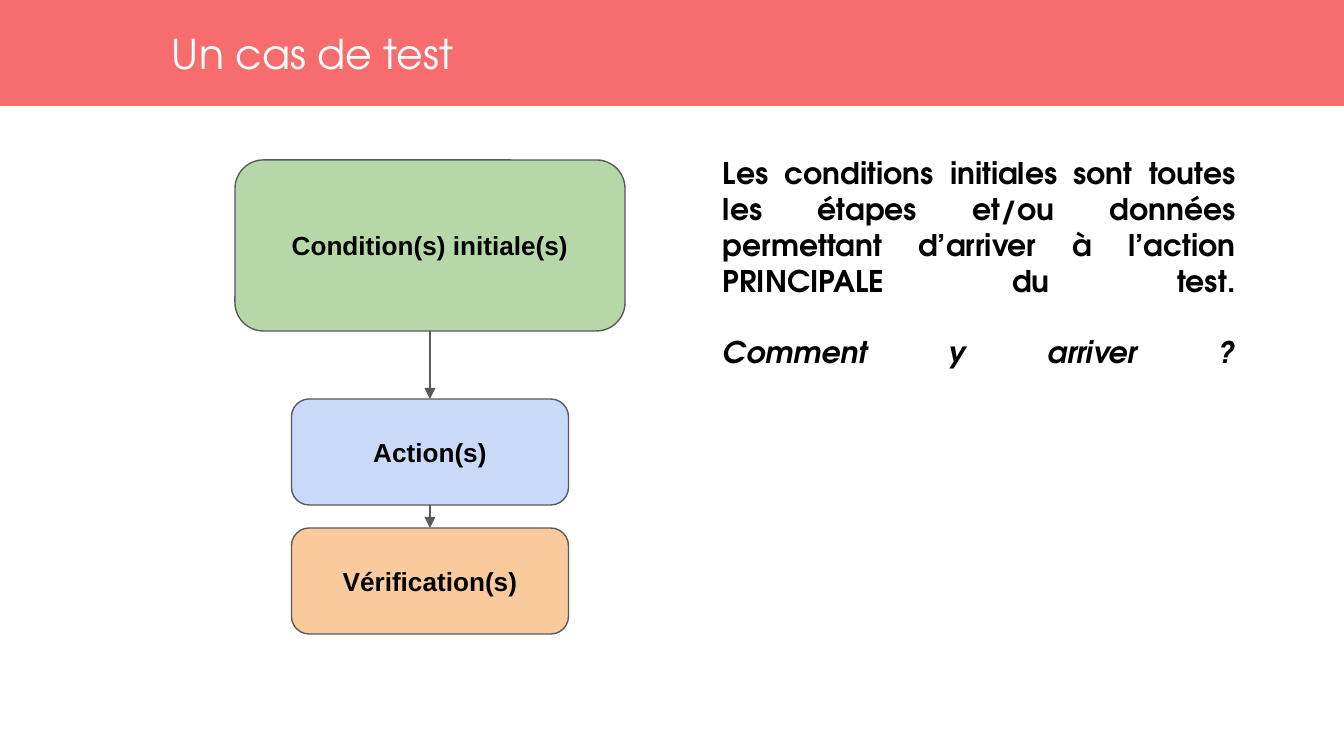
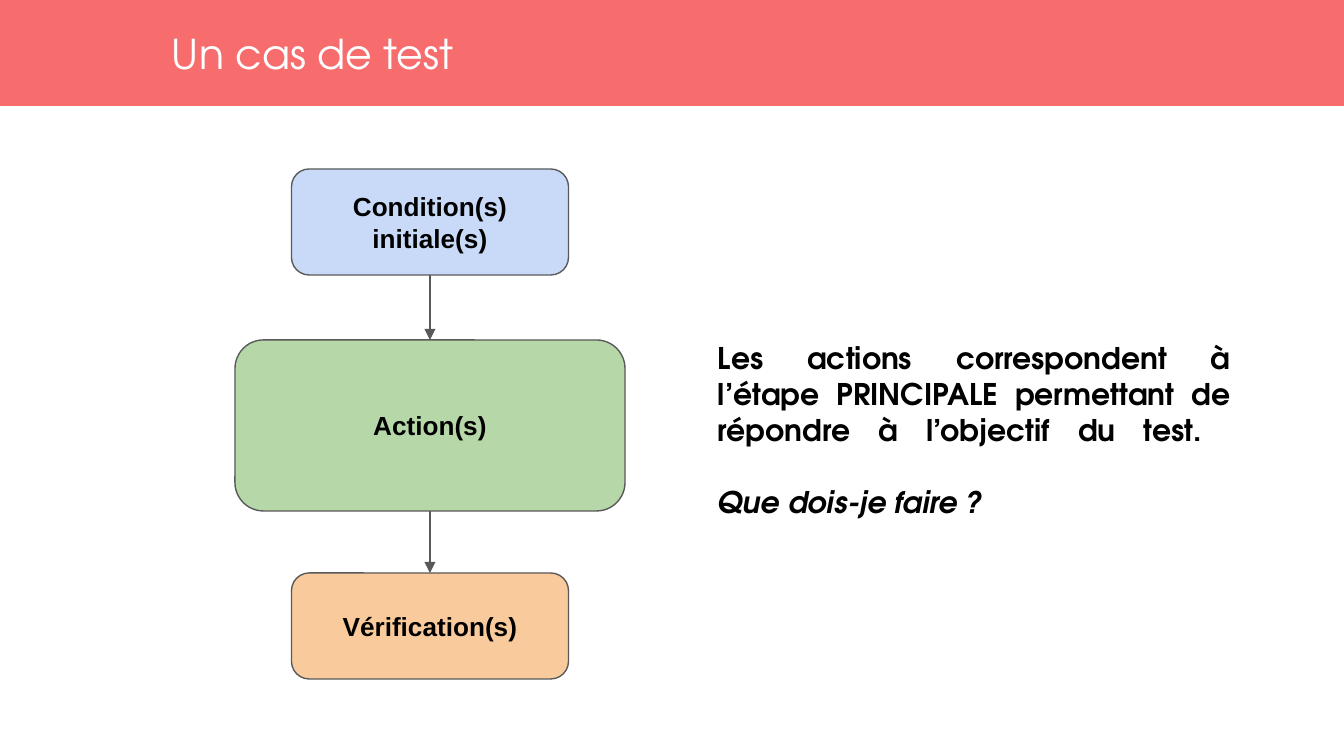
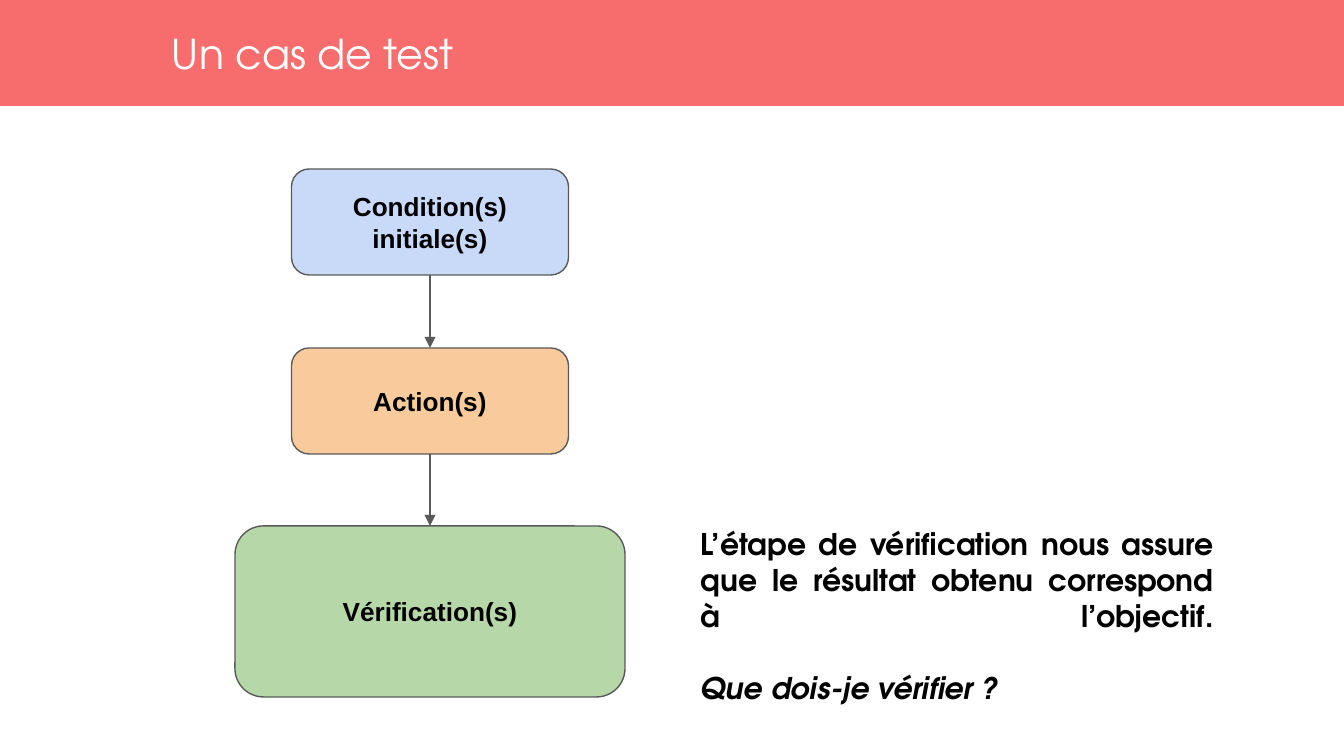
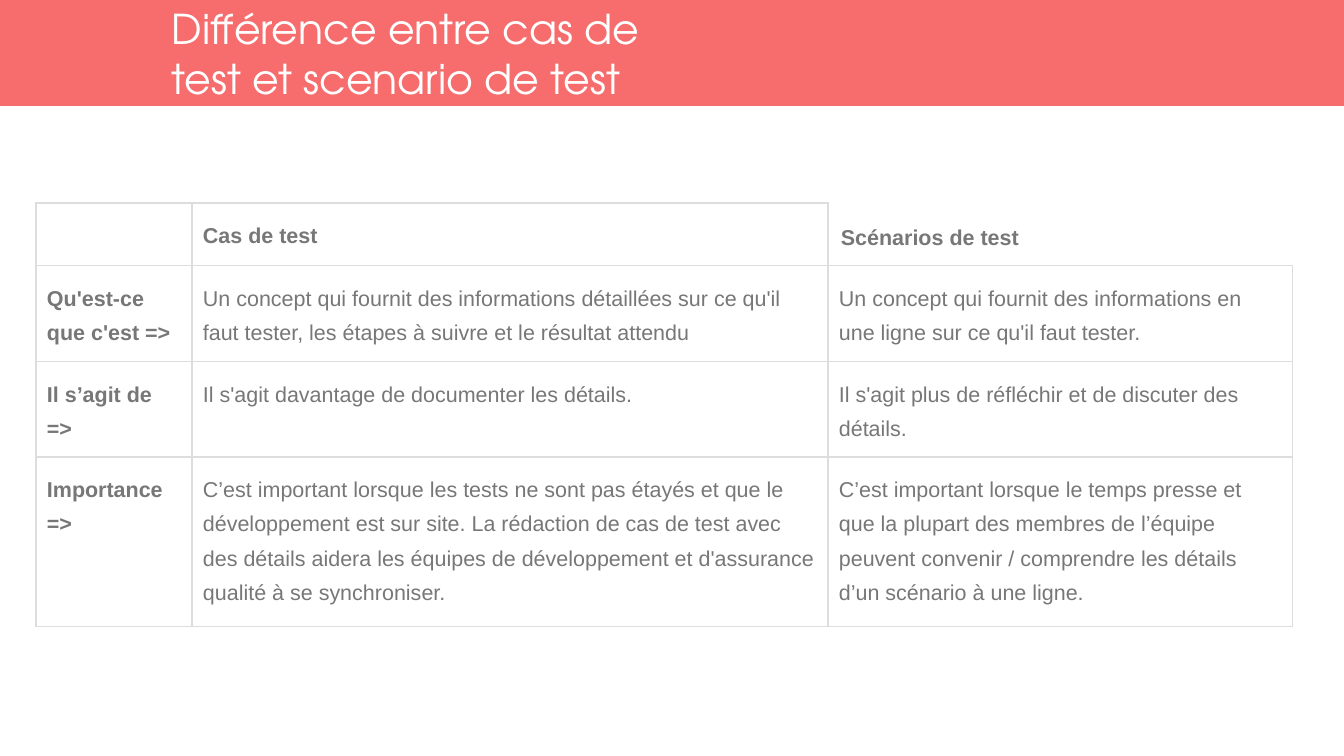
import copy

from lxml import etree
from pptx import Presentation
from pptx import util as u
from pptx.dml.color import RGBColor
from pptx.enum import shapes, text
from pptx.oxml.ns import qn

SCALE = 914400 / 134.4  # EMU per pixel


def px(n):
    return u.Emu(round(n * SCALE))


def rgb(hex_colour):
    return RGBColor.from_string(hex_colour)


class Deck:
    CORAL, GREEN, BLUE, ORANGE = "F76C6C", "B6D7A8", "C9DAF8", "F9CB9C"
    WHITE, BLACK, OUTLINE, GREY, RULE = "FFFFFF", "000000", "595959", "777777", "DDDDDD"
    HEADING, BODY = "TeX Gyre Adventor", "Arial"
    AXIS = 430  # centre line of the flow
    BIG, SMALL = (390, 171), (277, 106)

    def __init__(self):
        self.prs = Presentation()
        self.prs.slide_width, self.prs.slide_height = px(1344), px(756)
        self.s = None

    def slide(self, title):
        """Start a slide with the band and its title."""
        self.s = self.prs.slides.add_slide(self.prs.slide_layouts[6])
        self.shape(shapes.MSO_SHAPE.RECTANGLE, -3, 0, 1350, 106, self.CORAL)
        tf = self.textbox(172, 0, 516, 106, 0)
        tf.vertical_anchor = text.MSO_ANCHOR.MIDDLE
        self.run(tf.paragraphs[0], title, 22, self.HEADING, self.WHITE)

    def run(self, p, words, size, font, colour, bold=False, italic=False):
        r = p.add_run()
        r.text = words
        f = r.font
        f.size, f.name, f.bold, f.italic = u.Pt(size), font, bold, italic
        f.color.rgb = rgb(colour)
        return r

    def margins(self, box, inset):
        box.margin_left = box.margin_right = px(inset)
        box.margin_top = box.margin_bottom = px(inset)

    def textbox(self, x, y, w, h, inset=13):
        tf = self.s.shapes.add_textbox(px(x), px(y), px(w), px(h)).text_frame
        tf.word_wrap = True
        self.margins(tf, inset)
        return tf

    def shape(self, kind, x, y, w, h, fill, line=None):
        sp = self.s.shapes.add_shape(kind, px(x), px(y), px(w), px(h))
        sp.shadow.inherit = False
        sp.fill.solid()
        sp.fill.fore_color.rgb = rgb(fill)
        if line:
            sp.line.color.rgb = rgb(line)
            sp.line.width = u.Pt(0.75)
        else:
            sp.line.fill.background()
        return sp

    def step(self, label, y, size, fill):
        w, h = size
        sp = self.shape(shapes.MSO_SHAPE.ROUNDED_RECTANGLE,
                        self.AXIS - w / 2, y, w, h, fill, self.OUTLINE)
        tf = sp.text_frame
        tf.word_wrap = True
        tf.vertical_anchor = text.MSO_ANCHOR.MIDDLE
        self.margins(tf, 13)
        p = tf.paragraphs[0]
        p.alignment = text.PP_ALIGN.CENTER
        self.run(p, label, 14, self.BODY, self.BLACK, bold=True)
        return sp

    def arrow(self, upper, lower):
        c = self.s.shapes.add_connector(shapes.MSO_CONNECTOR.STRAIGHT, 0, 0, 0, 0)
        c.begin_connect(upper, 2)
        c.end_connect(lower, 0)
        c.line.color.rgb = rgb(self.OUTLINE)
        c.line.width = u.Pt(0.75)
        etree.SubElement(c.line._get_or_add_ln(), qn("a:tailEnd"), type="triangle")
        etree.SubElement(c._element.spPr, qn("a:effectLst"))

    def flow(self, tops, focus):
        """Three linked steps; the one in focus is large and green."""
        labels = ["Condition(s) initiale(s)", "Action(s)", "Vérification(s)"]
        others = iter([self.BLUE, self.ORANGE])
        steps = []
        for i, (label, y) in enumerate(zip(labels, tops)):
            look = (self.BIG, self.GREEN) if i == focus else (self.SMALL, next(others))
            steps.append(self.step(label, y, *look))
        for upper, lower in zip(steps, steps[1:]):
            self.arrow(upper, lower)

    def comment(self, x, y, h, statement, question, stretch=False):
        """Justified text; a line break stretches the line before it."""
        p = self.textbox(x, y, 539, h).paragraphs[0]
        p.alignment = text.PP_ALIGN.JUSTIFY
        style = (16, self.HEADING, self.BLACK, True)
        self.line_breaks(p, self.run(p, statement, *style), 2)
        r = self.run(p, question, *style, italic=True)
        self.line_breaks(p, r, 1 if stretch else 0)

    def line_breaks(self, p, r, count):
        for _ in range(count):
            p.add_line_break()
            p._p[-1].append(copy.deepcopy(r._r.rPr))

    def border(self, cell, sides, colour=None):
        tcPr = cell._tc.get_or_add_tcPr()
        for side in sides:
            ln = etree.SubElement(tcPr, qn("a:ln" + side), w=str(u.Pt(0.75)))
            if colour:
                fill = etree.SubElement(ln, qn("a:solidFill"))
                etree.SubElement(fill, qn("a:srgbClr"), val=colour)
            else:
                etree.SubElement(ln, qn("a:noFill"))

    def table(self, x, y, widths, heights, rows):
        t = self.s.shapes.add_table(len(rows), len(widths), px(x), px(y),
                                    px(sum(widths)), px(sum(heights))).table
        t.first_row = t.horz_banding = False
        for col, w in zip(t.columns, widths):
            col.width = px(w)
        for row, h in zip(t.rows, heights):
            row.height = px(h)
        for i, row in enumerate(rows):
            for j, words in enumerate(row):
                cell = t.cell(i, j)
                open_corner = i == 0 and j == len(widths) - 1
                self.margins(cell, 13 if open_corner else 11)
                for side in "LRTB":
                    hidden = open_corner and side in "RT"
                    self.border(cell, side, None if hidden else self.RULE)
                cell.fill.solid()
                cell.fill.fore_color.rgb = rgb(self.WHITE)
                if words:
                    p = cell.text_frame.paragraphs[0]
                    p.line_spacing = 1.43
                    self.run(p, words, 11.5, self.BODY, self.GREY, bold=i == 0 or j == 0)


d = Deck()

# Slides 1 to 3: one step of the test case in focus on each
CASE = "Un cas de test"

d.slide(CASE)
d.flow([160, 399, 528], focus=0)
d.comment(710, 142, 237,
          "Les conditions initiales sont toutes les étapes et/ou données "
          "permettant d’arriver à l’action PRINCIPALE du test.",
          "Comment y arriver ?", stretch=True)

d.slide(CASE)
d.flow([169, 340, 573], focus=1)
d.comment(705, 327, 196,
          "Les actions correspondent à l’étape PRINCIPALE permettant de "
          "répondre à l’objectif du test. ",
          "Que dois-je faire ?")

d.slide(CASE)
d.flow([169, 348, 526], focus=2)
d.comment(688, 513, 196,
          "L’étape de vérification nous assure que le résultat obtenu "
          "correspond à l’objectif.",
          "Que dois-je vérifier ?")

# Slide 4: comparison table
d.slide("Différence entre cas de test et scenario de test")
d.table(36, 203, [156, 636, 465], [61, 90, 91, 158], [
    ["", "Cas de test", "Scénarios de test"],
    ["Qu'est-ce que c'est =>",
     "Un concept qui fournit des informations détaillées sur ce qu'il faut "
     "tester, les étapes à suivre et le résultat attendu",
     "Un concept qui fournit des informations en une ligne sur ce qu'il faut tester."],
    ["Il s’agit de =>",
     "Il s'agit davantage de documenter les détails.",
     "Il s'agit plus de réfléchir et de discuter des détails."],
    ["Importance =>",
     "C’est important lorsque les tests ne sont pas étayés et que le "
     "développement est sur site. La rédaction de cas de test avec des détails "
     "aidera les équipes de développement et d'assurance qualité à se synchroniser.",
     "C’est important lorsque le temps presse et que la plupart des membres de "
     "l’équipe peuvent convenir / comprendre les détails d’un scénario à une ligne."],
])

d.prs.save("out.pptx")
